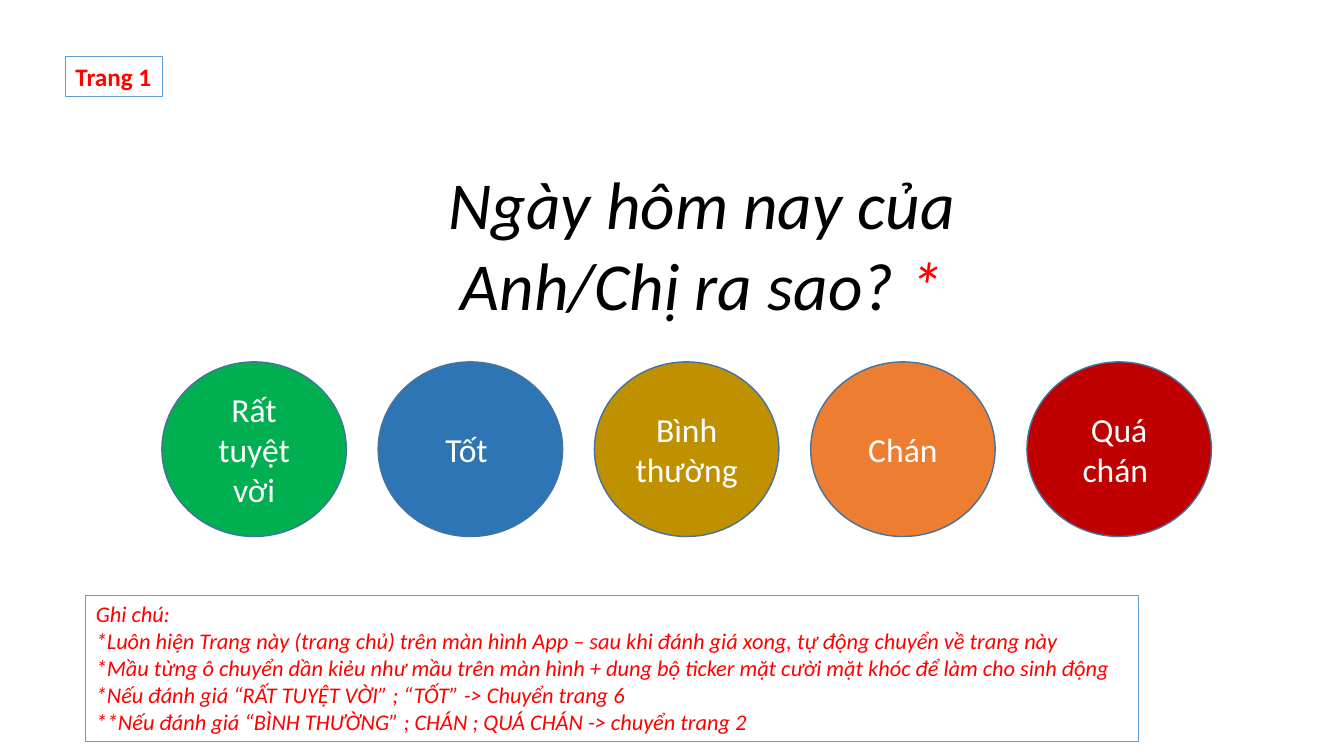
from dataclasses import dataclass

from lxml.etree import SubElement
from pptx import Presentation
from pptx.dml.color import RGBColor as Rgb
from pptx.enum.shapes import MSO_SHAPE as Kind
from pptx.enum.text import MSO_ANCHOR as Anchor, MSO_AUTO_SIZE as Fit, PP_ALIGN as Align
from pptx.oxml.ns import qn
from pptx.util import Cm, Pt


@dataclass(frozen=True)
class Theme:
    """Colours, font and type sizes of the slide."""
    font: str = "Calibri"
    black: str = "000000"
    white: str = "FFFFFF"
    red: str = "FF0000"
    edge: str = "5B9BD5"
    rim: str = "43739E"
    head: int = 48
    mood: int = 24
    tag: int = 18
    note: int = 16


THEME = Theme()
MOODS = [
    ("Rất tuyệt vời", "00B050"),
    ("Tốt ", "2E75B6"),
    ("Bình thường", "BF9000"),
    ("Chán", "ED7D31"),
    ("Quá chán ", "C00000"),
]
NOTES = [
    "Ghi chú:",
    "*Luôn hiện Trang này (trang chủ) trên màn hình App – sau khi đánh giá xong, tự động chuyển về trang này",
    "*Mầu từng ô chuyển dần kiẻu như mầu trên màn hình + dung bộ ticker mặt cười mặt khóc để làm cho sinh động",
    "*Nếu đánh giá “RẤT TUYỆT VỜI” ; “TỐT” -> Chuyển trang 6",
    "**Nếu đánh giá “BÌNH THƯỜNG” ; CHÁN ; QUÁ CHÁN -> chuyển trang 2",
]


def add_run(para, text, size, color, bold=False, slant=False):
    """Append one styled run to a paragraph."""
    run = para.add_run()
    run.text = text
    font = run.font
    font.name, font.size = THEME.font, Pt(size)
    font.bold, font.italic = bold, slant
    font.color.rgb = Rgb.from_string(color)


def place(shape, box):
    """Move a shape to a box given in centimetres."""
    shape.left, shape.top, shape.width, shape.height = map(Cm, box)


def outline(shape, color, width):
    """Draw the border of a shape."""
    shape.line.color.rgb = Rgb.from_string(color)
    shape.line.width = Pt(width)


def set_frame(shape, anchor, wrap=True):
    """Fix the text layout of a shape and return its first paragraph."""
    frame = shape.text_frame
    frame.auto_size = Fit.NONE
    frame.word_wrap = wrap
    frame.vertical_anchor = anchor
    return frame.paragraphs[0]


def add_head(slide, box):
    """Fill the title with the question and its red star."""
    title = slide.shapes.title
    place(title, box)
    para = set_frame(title, Anchor.TOP)
    para.alignment = Align.CENTER
    add_run(para, "Ngày hôm nay của Anh/Chị ra sao? ", THEME.head, THEME.black, slant=True)
    add_run(para, "*", THEME.head, THEME.red, slant=True)


def add_tag(slide, box):
    """Add the framed page tag."""
    tag = slide.shapes.add_textbox(*map(Cm, box))
    outline(tag, THEME.edge, 0.75)
    para = set_frame(tag, Anchor.TOP, wrap=False)
    add_run(para, "Trang 1", THEME.tag, THEME.red, bold=True)


def add_moods(slide, box):
    """Spread the mood ovals evenly across the box."""
    left, top, width, height = box
    size = 4.65
    step = (width - size) / (len(MOODS) - 1)
    for i, (label, color) in enumerate(MOODS):
        spot = map(Cm, (left + i * step, top, size, height))
        oval = slide.shapes.add_shape(Kind.OVAL, *spot)
        oval.shadow.inherit = False
        oval.fill.solid()
        oval.fill.fore_color.rgb = Rgb.from_string(color)
        outline(oval, THEME.rim, 1)
        para = set_frame(oval, Anchor.MIDDLE)
        para.alignment = Align.CENTER
        add_run(para, label, THEME.mood, THEME.white)


def add_notes(slide, box):
    """Fill the body with the framed remarks, without bullets."""
    body = slide.placeholders[1]
    place(body, box)
    outline(body, THEME.edge, 0.75)
    para = set_frame(body, Anchor.TOP)
    for i, text in enumerate(NOTES):
        if i:
            para = body.text_frame.add_paragraph()
        para.space_before = Pt(0)
        props = para._p.get_or_add_pPr()
        props.set("marL", "0")
        props.set("indent", "0")
        SubElement(props, qn("a:buNone"))
        add_run(para, text, THEME.note, THEME.red, slant=True)


def main():
    """Build the slide and save it."""
    deck = Presentation()
    deck.slide_width, deck.slide_height = Cm(33.87), Cm(19.05)
    slide = deck.slides.add_slide(deck.slide_layouts[1])
    add_head(slide, (8.2, 3.96, 18.97, 4.37))
    add_tag(slide, (1.65, 1.42, 2.44, 1.02))
    add_moods(slide, (4.08, 9.12, 26.45, 4.4))
    add_notes(slide, (2.16, 15, 26.54, 3.68))
    deck.save("out.pptx")


if __name__ == "__main__":
    main()
